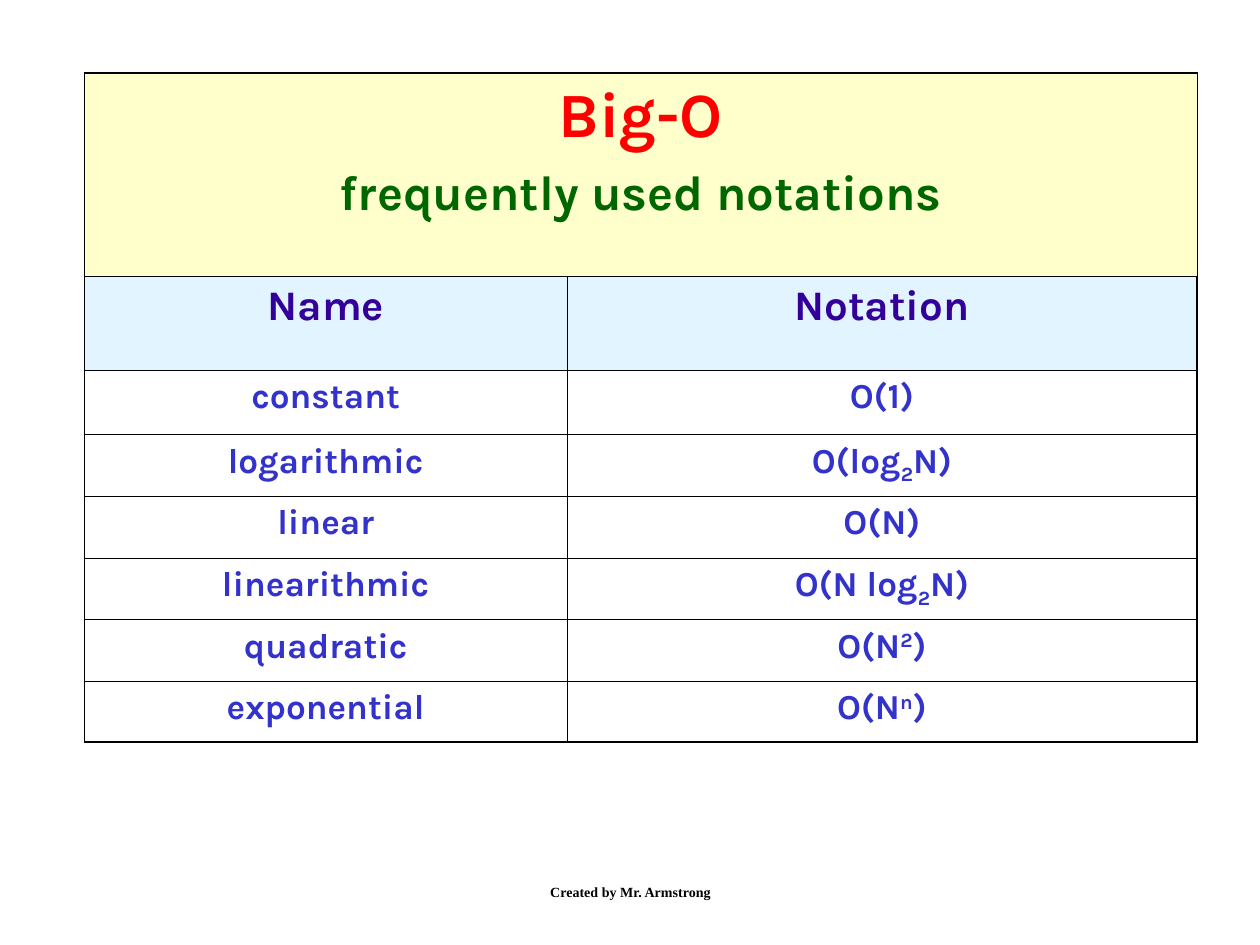
import pptx
import pptx.dml.color
import pptx.enum.text
import pptx.oxml
import pptx.oxml.ns
import pptx.util

COLORS = {
    "title": "FF0000", "subtitle": "006600", "heading": "330099",
    "entry": "3333CC", "title_fill": "FFFFCC", "heading_fill": "E1F4FF",
    "ink": "000000",
}
SUB, SUPER = -25000, 30000
OUTER, INNER = 1.08, 0.45

COLUMN_WIDTHS = [3.83, 5]
ROW_HEIGHTS = [1.61, 0.75, 0.51, 0.49, 0.49, 0.49, 0.49, 0.48]

# Each notation is a list of (text, baseline shift) pieces.
NOTATIONS = [
    ("constant", [("O(1)", 0)]),
    ("logarithmic", [("O(log", 0), ("2", SUB), ("N)", 0)]),
    ("linear", [("O(N)", 0)]),
    ("linearithmic", [("O(N log", 0), ("2", SUB), ("N)", 0)]),
    ("quadratic", [("O(N", 0), ("2", SUPER), (")", 0)]),
    ("exponential", [("O(N", 0), ("n", SUPER), (")", 0)]),
]


def rgb(name):
    return pptx.dml.color.RGBColor.from_string(COLORS[name])


def write_line(paragraph, pieces, size, color, font="Karla"):
    """Fill a centred bold paragraph with (text, baseline shift) pieces."""
    paragraph.alignment = pptx.enum.text.PP_ALIGN.CENTER
    paragraph.font.name = font
    paragraph.font.size = pptx.util.Pt(size)
    paragraph.font.bold = True
    paragraph.font.color.rgb = rgb(color)
    for text, baseline in pieces:
        run = paragraph.add_run()
        run.text = text
        if baseline:
            run.font._element.set("baseline", str(baseline))


def rule_cells(table):
    """Draw heavy rules around the table and fine ones inside it."""
    last_row, last_column = len(table.rows) - 1, len(table.columns) - 1
    for r in range(last_row + 1):
        for c in range(last_column + 1):
            properties = table.cell(r, c)._tc.get_or_add_tcPr()
            on_edge = {"L": c == 0, "R": c == last_column,
                       "T": r == 0, "B": r == last_row}
            for side, outer in on_edge.items():
                width = pptx.util.Pt(OUTER if outer else INNER)
                properties.append(pptx.oxml.parse_xml(
                    f'<a:ln{side} {pptx.oxml.ns.nsdecls("a")} w="{width}">'
                    f'<a:solidFill><a:srgbClr val="{COLORS["ink"]}"/>'
                    f'</a:solidFill></a:ln{side}>'))


def fill_cell(cell, color=None, opacity=100):
    if color is None:
        cell.fill.background()
        return
    cell.fill.solid()
    cell.fill.fore_color.rgb = rgb(color)
    if opacity < 100:
        tint = cell._tc.tcPr.find(".//" + pptx.oxml.ns.qn("a:srgbClr"))
        alpha = pptx.oxml.parse_xml(
            f'<a:alpha {pptx.oxml.ns.nsdecls("a")} val="{opacity * 1000}"/>')
        tint.append(alpha)


def add_notation_table(slide, left, top):
    table = slide.shapes.add_table(
        len(ROW_HEIGHTS), len(COLUMN_WIDTHS), left, top,
        pptx.util.Inches(sum(COLUMN_WIDTHS)),
        pptx.util.Inches(sum(ROW_HEIGHTS))).table
    table.first_row = table.horz_banding = False
    for column, width in zip(table.columns, COLUMN_WIDTHS):
        column.width = pptx.util.Inches(width)
    for row, height in zip(table.rows, ROW_HEIGHTS):
        row.height = pptx.util.Inches(height)
    rule_cells(table)

    banner = table.cell(0, 0)
    banner.merge(table.cell(0, 1))
    fill_cell(banner, "title_fill")
    write_line(banner.text_frame.paragraphs[0], [("Big-O", 0)], 36, "title")
    subtitle = banner.text_frame.add_paragraph()
    subtitle.space_before = pptx.util.Pt(7)
    write_line(subtitle, [("frequently used notations", 0)], 28, "subtitle")

    for c, heading in enumerate(["Name", "Notation"]):
        cell = table.cell(1, c)
        fill_cell(cell, "heading_fill", opacity=50)
        write_line(cell.text_frame.paragraphs[0], [(heading, 0)], 24, "heading")

    for r, (name, notation) in enumerate(NOTATIONS, start=2):
        for c, pieces in enumerate([[(name, 0)], notation]):
            cell = table.cell(r, c)
            fill_cell(cell)
            write_line(cell.text_frame.paragraphs[0], pieces, 20, "entry")


def add_credit(slide, left, top, width, height):
    frame = slide.shapes.add_textbox(left, top, width, height).text_frame
    frame.word_wrap = True
    frame.vertical_anchor = pptx.enum.text.MSO_ANCHOR.MIDDLE
    write_line(frame.paragraphs[0], [("Created by Mr. Armstrong", 0)],
               8, "ink", "Times New Roman")


def main():
    deck = pptx.Presentation()
    deck.slide_width = pptx.util.Inches(10)
    deck.slide_height = pptx.util.Inches(7.5)
    slide = deck.slides.add_slide(deck.slide_layouts[6])
    add_notation_table(slide, pptx.util.Inches(0.67), pptx.util.Inches(0.58))
    add_credit(slide, *map(pptx.util.Inches, (3.42, 6.83, 3.17, 0.5)))
    deck.save("out.pptx")


if __name__ == "__main__":
    main()
